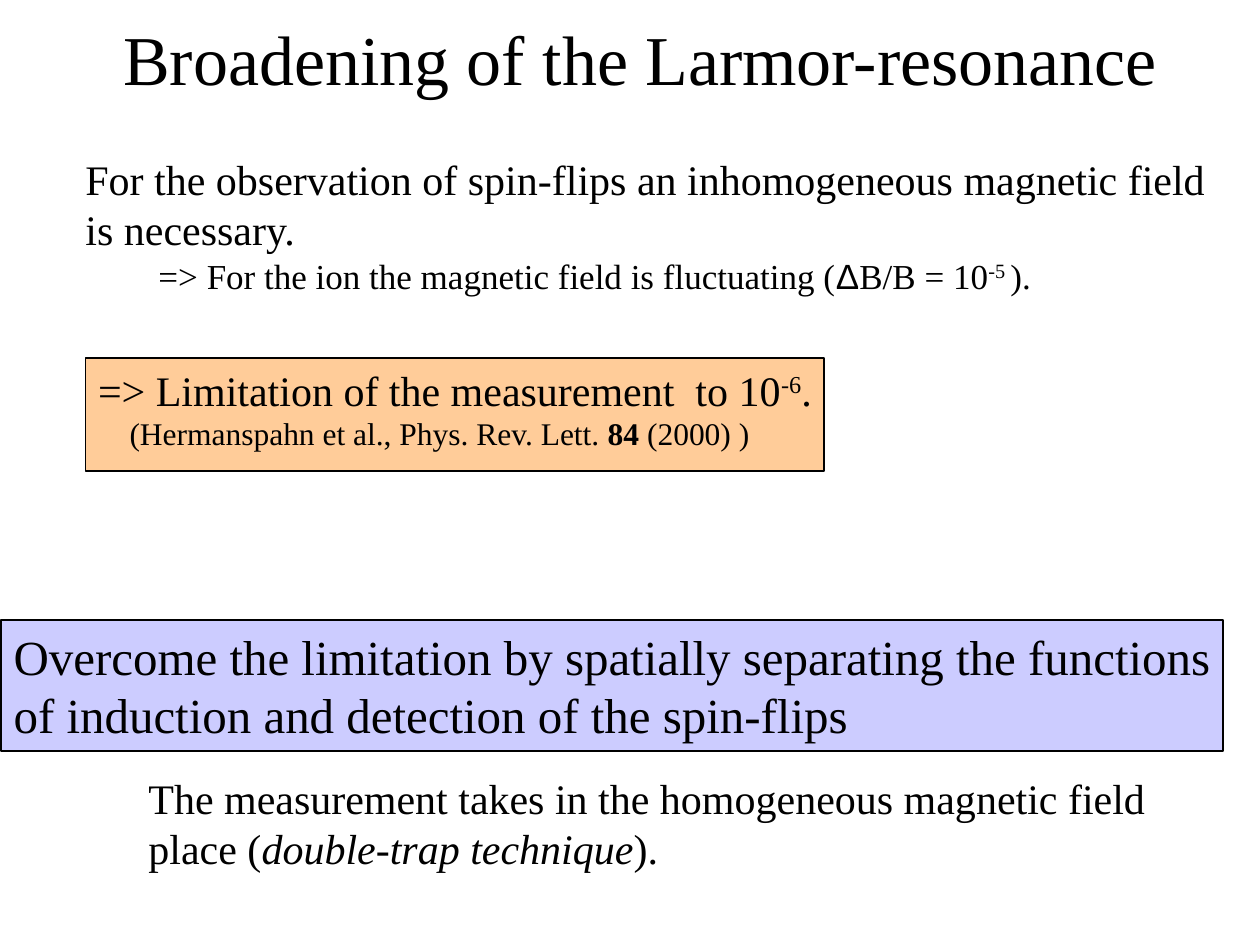
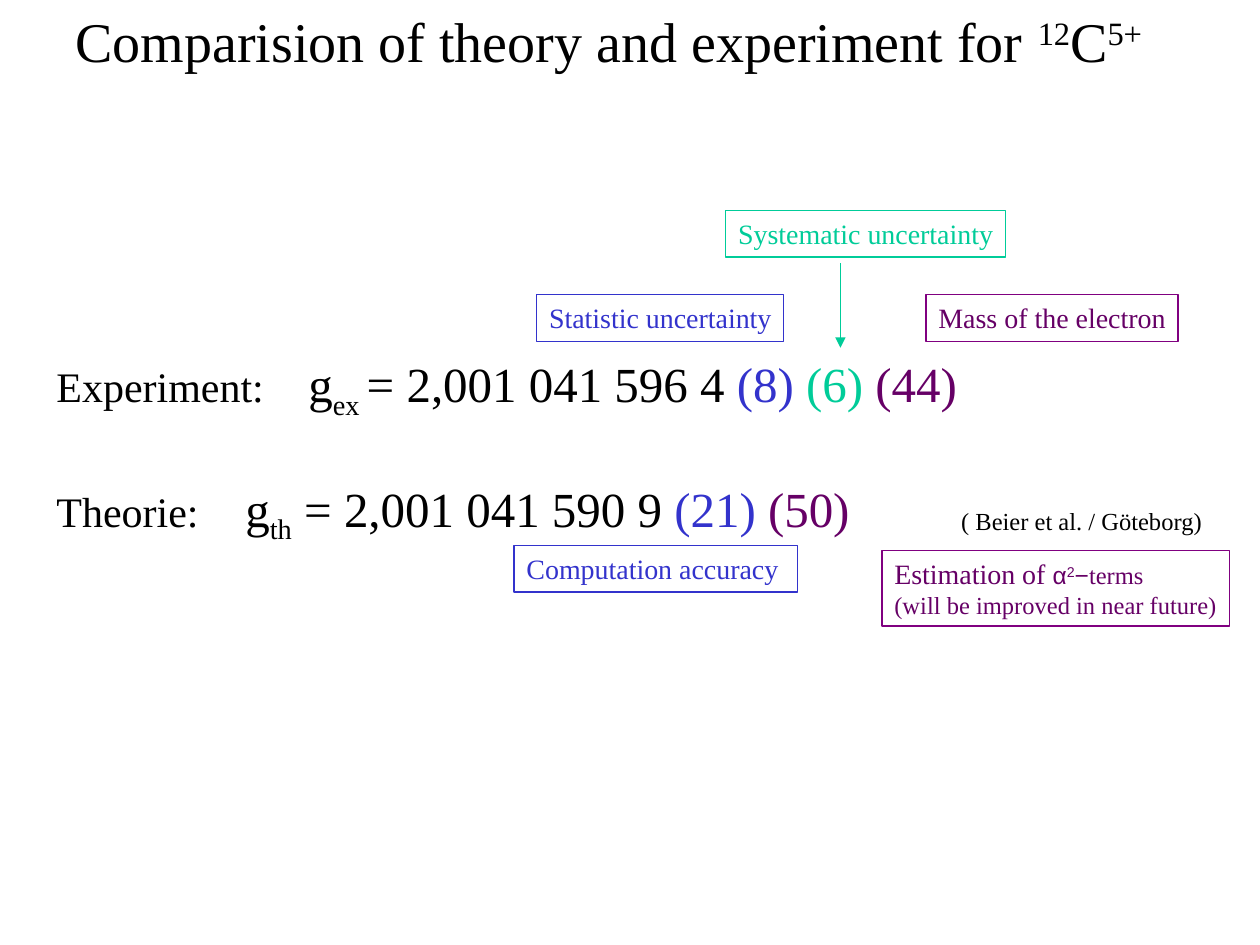
from lxml.etree import SubElement
from pptx import Presentation
from pptx.dml.color import RGBColor
from pptx.enum.shapes import MSO_CONNECTOR as CONN, MSO_SHAPE as SHAPE
from pptx.enum.text import MSO_ANCHOR as ANCHOR, MSO_AUTO_SIZE as AUTOSIZE, PP_ALIGN as ALIGN
from pptx.oxml.ns import qn
from pptx.util import Emu, Pt

PX = 9144
SERIF, SANS = "Times New Roman", "Arial"
COLORS = {
    "black": "000000",
    "orange": "FFCC99",
    "lavender": "CCCCFF",
    "blue": "3333CC",
    "green": "00CC99",
    "plum": "660066",
    "purple": "800080",
}
SUP, SUB = 30, -25
ROW_TOP, ROW_PITCH = 276, 99


def px(*values):
    return [Emu(v * PX) for v in values]


def rgb(name):
    return RGBColor.from_string(COLORS[name])


def add_run(p, text, size=24, color="black", font=SERIF, bold=False, italic=False, base=0):
    r = p.add_run()
    r.text = text
    f = r.font
    f.size, f.name, f.bold, f.italic = Pt(size), font, bold, italic
    f.color.rgb = rgb(color)
    if base:
        r._r.get_or_add_rPr().set("baseline", str(base * 1000))


def write(tf, paragraphs, wrap=True, align=ALIGN.LEFT, anchor=ANCHOR.TOP, indents=None, **style):
    tf.auto_size = AUTOSIZE.NONE
    tf.word_wrap = wrap
    tf.vertical_anchor = anchor
    for i, runs in enumerate(paragraphs):
        p = tf.paragraphs[0] if i == 0 else tf.add_paragraph()
        p.alignment = align
        if indents and i in indents:
            pPr = p._p.get_or_add_pPr()
            pPr.set("marL", str(indents[i] * PX))
            pPr.set("indent", "0")
        for run in runs:
            text, fmt = (run, {}) if isinstance(run, str) else run
            add_run(p, text, **{**style, **fmt})


def add_title(s, box, runs, **style):
    sp = s.shapes.title
    sp.left, sp.top, sp.width, sp.height = px(*box)
    write(sp.text_frame, [runs], **style)


def add_text(s, box, paragraphs, **style):
    sp = s.shapes.add_textbox(*px(*box))
    write(sp.text_frame, paragraphs, **style)


def add_frame(s, box, paragraphs, fill=None, line="black", weight=0.75, wrap=False, **style):
    sp = s.shapes.add_shape(SHAPE.RECTANGLE, *px(*box))
    sp.shadow.inherit = False
    if fill:
        sp.fill.solid()
        sp.fill.fore_color.rgb = rgb(fill)
    else:
        sp.fill.background()
    sp.line.color.rgb = rgb(line)
    sp.line.width = Pt(weight)
    write(sp.text_frame, paragraphs, wrap=wrap, **style)


def add_arrow(s, x1, y1, x2, y2, color):
    c = s.shapes.add_connector(CONN.STRAIGHT, *px(x1, y1, x2, y2))
    c.line.color.rgb = rgb(color)
    c.line.width = Pt(0.75)
    SubElement(c.line._get_or_add_ln(), qn("a:tailEnd"), type="triangle")
    SubElement(c._element.spPr, qn("a:effectLst"))


def add_result(s, row, label, index, value, uncertainties):
    runs = [(label + "\t", {"size": 24}), "g", (index, {"base": SUB}), value]
    runs += [(text, {"color": color}) for text, color in uncertainties]
    add_text(s, (35, ROW_TOP + row * ROW_PITCH, 930, 60), [runs], size=28)


def build_broadening(s):
    add_title(s, (83, 0, 850, 92), ["Broadening of the Larmor-resonance"],
              size=40, align=ALIGN.CENTER, anchor=ANCHOR.MIDDLE)
    add_frame(s, (68, 284, 586, 90), [
        ["=> Limitation of the measurement  to 10", ("-6", {"base": SUP}), "."],
        [("(Hermanspahn et al., Phys. Rev. Lett. ", {"size": 18}),
         ("84", {"size": 18, "bold": True}), (" (2000) )", {"size": 18})],
    ], fill="orange", weight=1, indents={1: 25})
    small = {"size": 20}
    add_text(s, (58, 117, 917, 130), [
        ["For the observation of spin-flips an inhomogeneous magnetic field"],
        ["is necessary."],
        [("=> For the ion the magnetic field is fluctuating (", small),
         ("Δ", {"size": 20, "font": SANS}), ("B/B = 10", small),
         ("-5 ", {"size": 20, "base": SUP}), (").", small)],
    ], indents={2: 58})
    add_text(s, (108, 608, 820, 90), [
        ["The measurement takes in the homogeneous magnetic field"],
        ["place (", ("double-trap technique", {"italic": True}), ")."],
    ])
    add_frame(s, (1, 492, 970, 104), [
        ["Overcome the limitation by spatially separating the functions"],
        ["of induction and detection of the spin-flips"],
    ], fill="lavender", weight=1, size=28)


def build_comparison(s):
    add_title(s, (50, 0, 890, 64), [
        "Comparision of theory and experiment for ", ("12", {"base": SUP}),
        "C", ("5+", {"base": SUP})], size=32)
    add_result(s, 0, "Experiment:", "ex ", "= 2,001 041 596 4",
               [(" (8) ", "blue"), ("(6) ", "green"), ("(44)", "plum")])
    add_result(s, 1, "Theorie:", "th", " = 2,001 041 590 9",
               [(" (21) ", "blue"), ("(50)", "plum")])
    add_text(s, (753, 397, 215, 34), [["( Beier et al. / Göteborg)"]], size=14)

    labels = [
        ((426, 234, 196, 37), "Statistic uncertainty", "blue", "blue", False),
        ((576, 167, 222, 37), "Systematic uncertainty", "green", "green", False),
        ((735, 234, 200, 37), "Mass of the electron", "plum", "purple", False),
        ((408, 433, 225, 37), "Computation accuracy", "blue", "blue", True),
    ]
    for box, text, color, line, wrap in labels:
        add_frame(s, box, [[text]], line=line, wrap=wrap, size=16, color=color)
    add_frame(s, (700, 437, 276, 60), [
        [("Estimation of ", {"size": 16}), ("α", {"font": SANS}),
         ("2", {"font": SANS, "base": SUP}), ("−", {"font": SANS}), "terms"],
        ["(will be improved in near future)"],
    ], line="purple", size=14, color="plum")
    add_arrow(s, 667, 209, 667, 276, "green")


def main():
    prs = Presentation()
    prs.slide_width, prs.slide_height = px(1000, 750)
    title_only = prs.slide_layouts[5]
    for build in (build_broadening, build_comparison):
        build(prs.slides.add_slide(title_only))
    prs.save("out.pptx")


if __name__ == "__main__":
    main()
